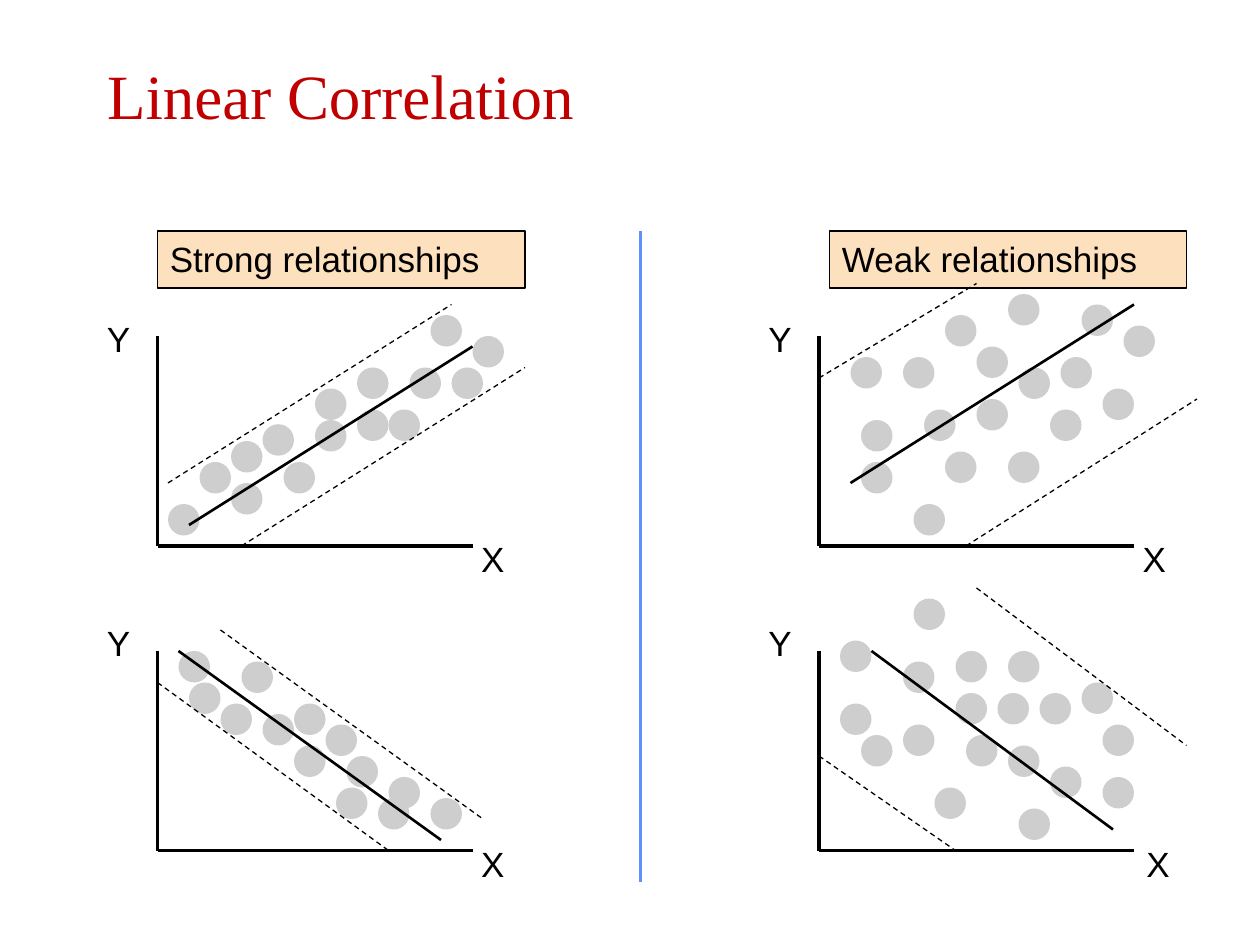
from dataclasses import dataclass

from lxml import etree
from pptx import Presentation
from pptx.dml.color import RGBColor
from pptx.enum.dml import MSO_LINE
from pptx.enum.shapes import MSO_CONNECTOR, MSO_SHAPE
from pptx.enum.text import MSO_ANCHOR, MSO_AUTO_SIZE, PP_ALIGN
from pptx.oxml.ns import qn
from pptx.util import Inches, Pt

STRAIGHT = MSO_CONNECTOR.STRAIGHT
OVAL, RECTANGLE = MSO_SHAPE.OVAL, MSO_SHAPE.RECTANGLE
DASH = MSO_LINE.DASH
LEFT = PP_ALIGN.LEFT
TOP, MIDDLE = MSO_ANCHOR.TOP, MSO_ANCHOR.MIDDLE
FIT_SHAPE = MSO_AUTO_SIZE.SHAPE_TO_FIT_TEXT

COLORS = {"ink": "000000", "dot": "CECECE", "heading": "FDE0BD",
          "divider": "618FFD", "title": "C00000"}
COLUMNS, ROWS = 120, 90  # grid of the slide, 12 cells to the inch
CELL = Inches(10) // COLUMNS
DOT_SIZE = 3
AXIS_WIDTH = 30

Point = tuple[float, float]
Segment = tuple[Point, Point]


@dataclass
class Heading:
    text: str
    left: float
    width: float


@dataclass
class Plot:
    """Scatter plot; its points are cells right of and above the origin."""
    origin: Point
    axis_height: float
    trend: Segment
    bands: list[Segment]
    dots: list[Point]  # upper left corners
    x_label: float = 29.64

    def place(self, point: Point) -> Point:
        return self.origin[0] + point[0], self.origin[1] - point[1]


HEADINGS = [Heading("Strong relationships", 15, 35),
            Heading("Weak relationships", 79, 34)]

PLOTS = [
    Plot((15, 52), 20, ((3, 2), (30, 19)),
         [((1, 6), (28, 23)), ((8, 0), (35, 17))],
         [(1, 4), (4, 8), (26, 22), (28, 17), (7, 6), (30, 20), (19, 13),
          (19, 17), (24, 17), (15, 15), (7, 10), (10, 11.6), (22, 13),
          (15, 12), (12, 8)]),
    Plot((15, 81), 19, ((2, 19), (27, 1)),
         [((6, 21), (31, 3)), ((0, 16), (22, 0))],
         [(21, 5), (3, 16), (26, 5), (8, 18), (18, 9), (22, 7), (13, 14),
          (2, 19), (6, 14), (10, 13), (17, 6), (16, 12), (13, 10)]),
    Plot((78, 52), 20, ((3, 6), (30, 23)),
         [((0, 16), (15, 25)), ((14, 0), (36, 14))],
         [(15, 19), (4, 8), (18, 9), (23, 18), (8, 18), (9, 4), (12, 9),
          (19, 17), (12, 22), (4, 12), (3, 18), (10, 13), (22, 13),
          (15, 14), (18, 24), (29, 21), (27, 15), (25, 23)]),
    Plot((78, 81), 19, ((5, 19), (28, 2)),
         [((15, 25), (35, 10)), ((0, 9), (13, 0))],
         [(2, 14), (2, 20), (8, 12), (19, 4), (4, 11), (13, 19), (18, 10),
          (17, 15), (13, 15), (8, 18), (21, 15), (14, 11), (11, 6), (22, 8),
          (27, 12), (25, 16), (27, 7), (18, 19), (9, 24)], 30),
]


def cells(*counts: float) -> list[int]:
    return [round(count * CELL) for count in counts]


def color(name: str) -> RGBColor:
    return RGBColor.from_string(COLORS[name])


def write(frame, text: str, size: float, font_name: str, ink: str) -> None:
    frame.text = text
    paragraph = frame.paragraphs[0]
    paragraph.alignment = LEFT
    font = paragraph.runs[0].font
    font.size, font.name = Pt(size), font_name
    font.color.rgb = color(ink)


def draw_line(slide, start: Point, end: Point, width: float,
              ink: str = "ink", dashed: bool = False) -> None:
    line = slide.shapes.add_connector(STRAIGHT, *cells(*start, *end))
    line.line.color.rgb = color(ink)
    line.line.width = Pt(width)
    if dashed:
        line.line.dash_style = DASH
    etree.SubElement(line._element.spPr, qn("a:effectLst"))


def draw_heading(slide, heading: Heading) -> None:
    box = slide.shapes.add_shape(
        RECTANGLE, *cells(heading.left, 22, heading.width, 5.4))
    box.shadow.inherit = False
    box.fill.solid()
    box.fill.fore_color.rgb = color("heading")
    box.line.color.rgb = color("ink")
    box.line.width = Pt(1)
    frame = box.text_frame
    frame.word_wrap = True
    frame.auto_size = FIT_SHAPE
    frame.vertical_anchor = TOP
    write(frame, heading.text, 20, "Arial", "ink")


def draw_dot(slide, corner: Point) -> None:
    dot = slide.shapes.add_shape(OVAL, *cells(*corner, DOT_SIZE, DOT_SIZE))
    dot.shadow.inherit = False
    dot.fill.solid()
    dot.fill.fore_color.rgb = color("dot")
    dot.line.fill.background()


def draw_axis_label(slide, text: str, corner: Point) -> None:
    label = slide.shapes.add_textbox(*cells(*corner, 4.7, 5.2))
    label.text_frame.word_wrap = False
    label.text_frame.auto_size = FIT_SHAPE
    write(label.text_frame, text, 20, "Arial", "ink")


def draw_plot(slide, plot: Plot) -> None:
    for tip in ((0, plot.axis_height), (AXIS_WIDTH, 0)):
        draw_line(slide, plot.place(tip), plot.origin, 2)
    for dot in plot.dots:
        draw_dot(slide, plot.place(dot))
    draw_axis_label(slide, "Y", plot.place((-6, 22.4)))
    draw_axis_label(slide, "X", plot.place((plot.x_label, 1.4)))
    for start, end in plot.bands:
        draw_line(slide, plot.place(start), plot.place(end), 0.75, dashed=True)
    start, end = plot.trend
    draw_line(slide, plot.place(start), plot.place(end), 1.5)


def draw_title(slide, text: str) -> None:
    title = slide.shapes.title
    title.left, title.top, title.width, title.height = cells(9, 2, 102, 14)
    title.text_frame.vertical_anchor = MIDDLE
    write(title.text_frame, text, 36, "Times New Roman", "title")


def main() -> None:
    deck = Presentation()
    deck.slide_width, deck.slide_height = cells(COLUMNS, ROWS)
    slide = deck.slides.add_slide(deck.slide_layouts.get_by_name("Title Only"))
    draw_title(slide, "Linear Correlation")
    for heading in HEADINGS:
        draw_heading(slide, heading)
    draw_line(slide, (61, 22), (61, 84), 2.25, "divider")
    for plot in PLOTS:
        draw_plot(slide, plot)
    deck.save("out.pptx")


if __name__ == "__main__":
    main()
